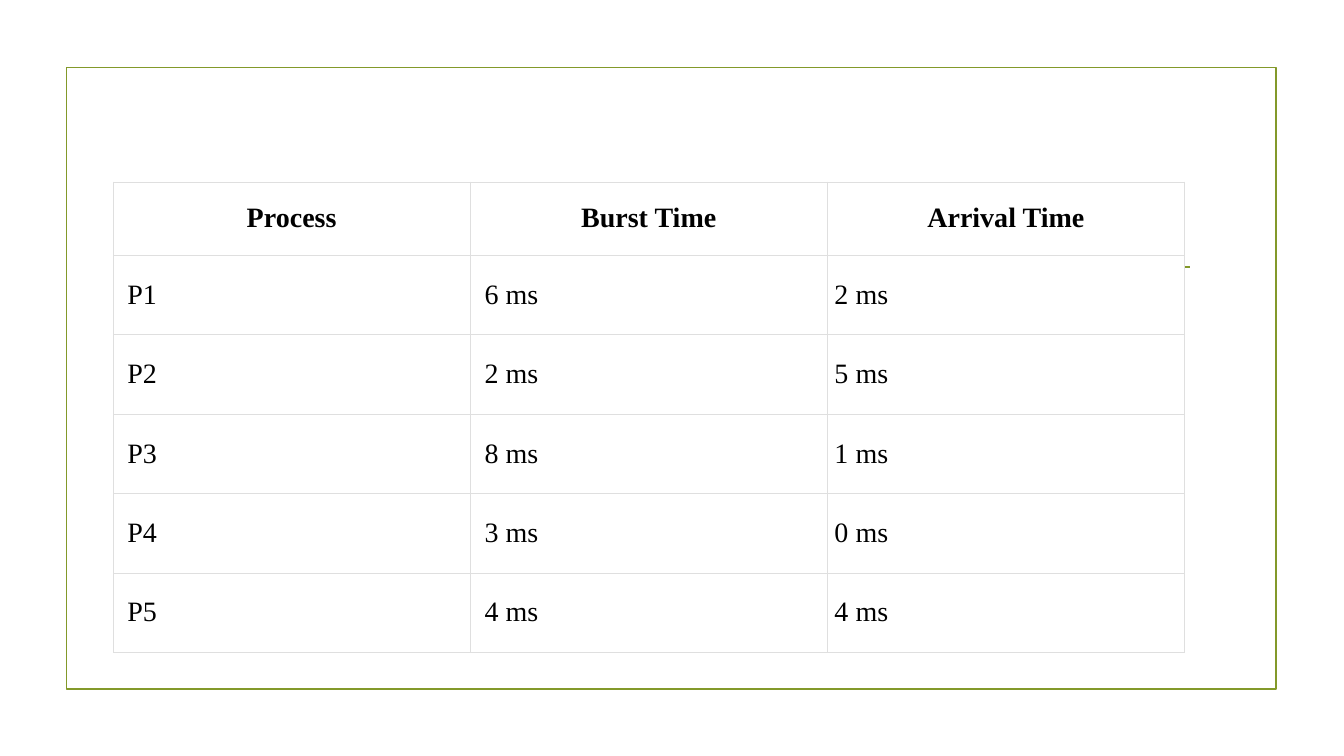
from dataclasses import dataclass

from lxml.etree import SubElement
from pptx import Presentation
from pptx.dml.color import RGBColor
from pptx.enum.shapes import MSO_CONNECTOR as Connector, MSO_SHAPE as Preset
from pptx.enum.text import MSO_ANCHOR as Anchor, PP_ALIGN as Align
from pptx.oxml.ns import qn
from pptx.util import Cm, Pt

GREEN = "83992A"
GRID_GREY = "DFDFDF"
WHITE = "FFFFFF"
BLACK = "000000"
FONT = "Times New Roman"
COLUMN_WIDTH = 9
HEADER_HEIGHT = 1.85
ROW_HEIGHT = 2
BORDER_WIDTH = Pt(0.15)


@dataclass
class Process:
    name: str
    burst: str
    arrival: str


HEADER = Process("Process", "Burst Time", "Arrival Time")
PROCESSES = [
    Process("P1", "6 ms", "2 ms"),
    Process("P2", "2 ms", "5 ms"),
    Process("P3", "8 ms", "1 ms"),
    Process("P4", "3 ms", "0 ms"),
    Process("P5", "4 ms", "4 ms"),
]


def colour(value: str) -> RGBColor:
    return RGBColor.from_string(value)


def style_line(shape) -> None:
    shape.line.color.rgb = colour(GREEN)
    shape.line.width = Pt(1.25)


def add_frame(slide) -> None:
    frame = slide.shapes.add_shape(
        Preset.RECTANGLE, Cm(1.68), Cm(1.7), Cm(30.48), Cm(15.67)
    )
    frame.shadow.inherit = False
    frame.fill.background()
    style_line(frame)


def add_title_rule(slide) -> None:
    rule = slide.shapes.add_connector(
        Connector.STRAIGHT, Cm(3.89), Cm(6.73), Cm(30), Cm(6.73)
    )
    style_line(rule)
    SubElement(rule._element.spPr, qn("a:effectLst"))


def add_borders(cell) -> None:
    properties = cell._tc.get_or_add_tcPr()
    for side in ("lnL", "lnR", "lnT", "lnB"):
        border = SubElement(properties, qn(f"a:{side}"), w=str(BORDER_WIDTH))
        fill = SubElement(border, qn("a:solidFill"))
        SubElement(fill, qn("a:srgbClr"), val=GRID_GREY)


def fill_cell(cell, text: str, is_header: bool, left_margin: float) -> None:
    add_borders(cell)
    cell.fill.solid()
    cell.fill.fore_color.rgb = colour(WHITE)
    cell.vertical_anchor = Anchor.MIDDLE
    cell.margin_left = Cm(left_margin)
    cell.margin_right = Cm(0.18)
    cell.margin_top = cell.margin_bottom = Cm(0.18 if is_header else 0.25)
    paragraph = cell.text_frame.paragraphs[0]
    paragraph.alignment = Align.CENTER if is_header else Align.LEFT
    run = paragraph.add_run()
    run.text = text
    run.font.name = FONT
    run.font.size = Pt(20)
    run.font.bold = is_header
    run.font.color.rgb = colour(BLACK)


def add_process_table(slide) -> None:
    records = [HEADER, *PROCESSES]
    height = HEADER_HEIGHT + ROW_HEIGHT * len(PROCESSES)
    table = slide.shapes.add_table(
        len(records), 3, Cm(2.85), Cm(4.58), Cm(3 * COLUMN_WIDTH), Cm(height)
    ).table
    table.horz_banding = False
    for column in table.columns:
        column.width = Cm(COLUMN_WIDTH)
    for row_index, record in enumerate(records):
        is_header = row_index == 0
        table.rows[row_index].height = Cm(HEADER_HEIGHT if is_header else ROW_HEIGHT)
        texts = (record.name, record.burst, record.arrival)
        for column_index, text in enumerate(texts):
            indented = not is_header and column_index < 2
            left_margin = 0.36 if indented else 0.18
            fill_cell(table.cell(row_index, column_index), text, is_header, left_margin)


def main() -> None:
    presentation = Presentation()
    presentation.slide_width = Cm(33.87)
    presentation.slide_height = Cm(19.05)
    slide = presentation.slides.add_slide(presentation.slide_layouts[6])
    slide.background.fill.solid()
    slide.background.fill.fore_color.rgb = colour(WHITE)
    add_frame(slide)
    add_title_rule(slide)
    add_process_table(slide)
    presentation.save("out.pptx")


if __name__ == "__main__":
    main()
